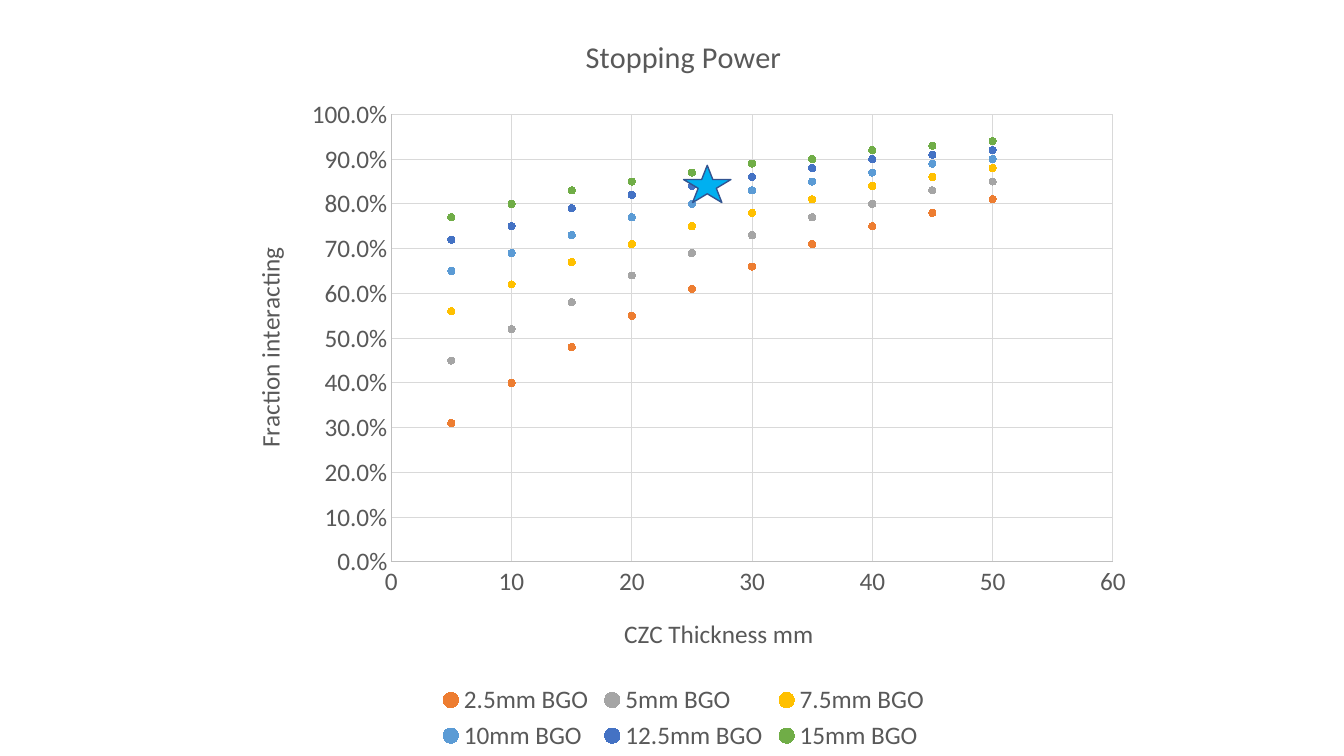
import pptx
import pptx.chart.data
import pptx.dml.color
import pptx.enum.chart
import pptx.enum.shapes
import pptx.oxml
import pptx.oxml.ns
import pptx.util
from pptx.dml.color import RGBColor
from pptx.util import Inches

FONT = "Calibri"
TEXT_GREY = RGBColor(0x59, 0x59, 0x59)
AXIS_GREY = RGBColor(0xBF, 0xBF, 0xBF)
GRID_GREY = RGBColor(0xD9, 0xD9, 0xD9)
STAR_FILL = RGBColor(0x00, 0xB0, 0xF0)
STAR_LINE = RGBColor(0x32, 0x54, 0x91)

CZC_THICKNESS = range(5, 51, 5)
# BGO layer: colour, fraction interacting at each CZC thickness
STOPPING_POWER = {
    "2.5mm BGO": (RGBColor(0xED, 0x7D, 0x31),
                  [0.31, 0.4, 0.48, 0.55, 0.61, 0.66, 0.71, 0.75, 0.78, 0.81]),
    "5mm BGO": (RGBColor(0xA5, 0xA5, 0xA5),
                [0.45, 0.52, 0.58, 0.64, 0.69, 0.73, 0.77, 0.8, 0.83, 0.85]),
    "7.5mm BGO": (RGBColor(0xFF, 0xC0, 0x00),
                  [0.56, 0.62, 0.67, 0.71, 0.75, 0.78, 0.81, 0.84, 0.86, 0.88]),
    "10mm BGO": (RGBColor(0x5B, 0x9B, 0xD5),
                 [0.65, 0.69, 0.73, 0.77, 0.8, 0.83, 0.85, 0.87, 0.89, 0.9]),
    "12.5mm BGO": (RGBColor(0x44, 0x72, 0xC4),
                   [0.72, 0.75, 0.79, 0.82, 0.84, 0.86, 0.88, 0.9, 0.91, 0.92]),
    "15mm BGO": (RGBColor(0x70, 0xAD, 0x47),
                 [0.77, 0.8, 0.83, 0.85, 0.87, 0.89, 0.9, 0.92, 0.93, 0.94]),
}


def style_font(font, size=18):
    font.name = FONT
    font.size = pptx.util.Pt(size)
    font.bold = False
    font.color.rgb = TEXT_GREY


def set_title(owner, text, size=18):
    title_frame = owner.text_frame
    title_frame.text = text
    style_font(title_frame.paragraphs[0].font, size)


def style_line(line, color):
    line.color.rgb = color
    line.width = pptx.util.Pt(0.75)


def style_axis(axis, title, maximum, step, number_format):
    axis.minimum_scale, axis.maximum_scale, axis.major_unit = 0, maximum, step
    axis.major_tick_mark = pptx.enum.chart.XL_TICK_MARK.NONE
    axis.minor_tick_mark = pptx.enum.chart.XL_TICK_MARK.NONE
    axis.has_major_gridlines = True
    style_line(axis.major_gridlines.format.line, GRID_GREY)
    style_line(axis.format.line, AXIS_GREY)
    axis.tick_labels.number_format = number_format
    axis.tick_labels.number_format_is_linked = False
    style_font(axis.tick_labels.font)
    set_title(axis.axis_title, title)


def place_plot_area(chart, x, y, w, h):
    """Fix the inner plot area, in fractions of the chart."""
    plot_area = chart.element.find(".//" + pptx.oxml.ns.qn("c:plotArea"))
    for layout in plot_area.findall(pptx.oxml.ns.qn("c:layout")):
        plot_area.remove(layout)
    plot_area.insert(0, pptx.oxml.parse_xml(
        f'<c:layout {pptx.oxml.ns.nsdecls("c")}><c:manualLayout>'
        '<c:layoutTarget val="inner"/><c:xMode val="edge"/><c:yMode val="edge"/>'
        f'<c:x val="{x}"/><c:y val="{y}"/><c:w val="{w}"/><c:h val="{h}"/>'
        '</c:manualLayout></c:layout>'))


def add_stopping_power_chart(slide):
    chart_data = pptx.chart.data.XyChartData()
    for name, (_, fractions) in STOPPING_POWER.items():
        layer = chart_data.add_series(name)
        for thickness, fraction in zip(CZC_THICKNESS, fractions):
            layer.add_data_point(thickness, fraction)
    chart = slide.shapes.add_chart(
        pptx.enum.chart.XL_CHART_TYPE.XY_SCATTER,
        Inches(2.25), Inches(0.1), Inches(9.06), Inches(7.4), chart_data).chart
    style_font(chart.font)
    chart.has_title = True
    set_title(chart.chart_title, "Stopping Power", 21.6)

    # Axes and plot area
    style_axis(chart.category_axis, "CZC Thickness mm", 60, 10, "General")
    style_axis(chart.value_axis, "Fraction interacting", 1, 0.1, "0.0%")
    place_plot_area(chart, 0.18, 0.14, 0.79, 0.6)

    # Markers
    chart.plots[0].vary_by_categories = False
    for layer, (color, _) in zip(chart.plots[0].series, STOPPING_POWER.values()):
        layer.format.line.fill.background()
        layer.marker.style = pptx.enum.chart.XL_MARKER_STYLE.CIRCLE
        layer.marker.size = 5
        layer.marker.format.fill.solid()
        layer.marker.format.fill.fore_color.rgb = color
        style_line(layer.marker.format.line, color)

    # Legend
    chart.has_legend = True
    chart.legend.position = pptx.enum.chart.XL_LEGEND_POSITION.BOTTOM
    chart.legend.include_in_layout = False
    style_font(chart.legend.font)


def add_star(slide):
    star = slide.shapes.add_shape(
        pptx.enum.shapes.MSO_SHAPE.STAR_5_POINT,
        Inches(6.78), Inches(1.64), Inches(0.47), Inches(0.37))
    star.height = Inches(0.37)
    star.shadow.inherit = False
    star.fill.solid()
    star.fill.fore_color.rgb = STAR_FILL
    star.line.color.rgb = STAR_LINE
    star.line.width = pptx.util.Pt(1)


def main():
    presentation = pptx.Presentation()
    presentation.slide_width = Inches(13.33)
    presentation.slide_height = Inches(7.5)
    slide = presentation.slides.add_slide(presentation.slide_layouts[6])
    add_stopping_power_chart(slide)
    add_star(slide)
    presentation.save("out.pptx")


if __name__ == "__main__":
    main()
